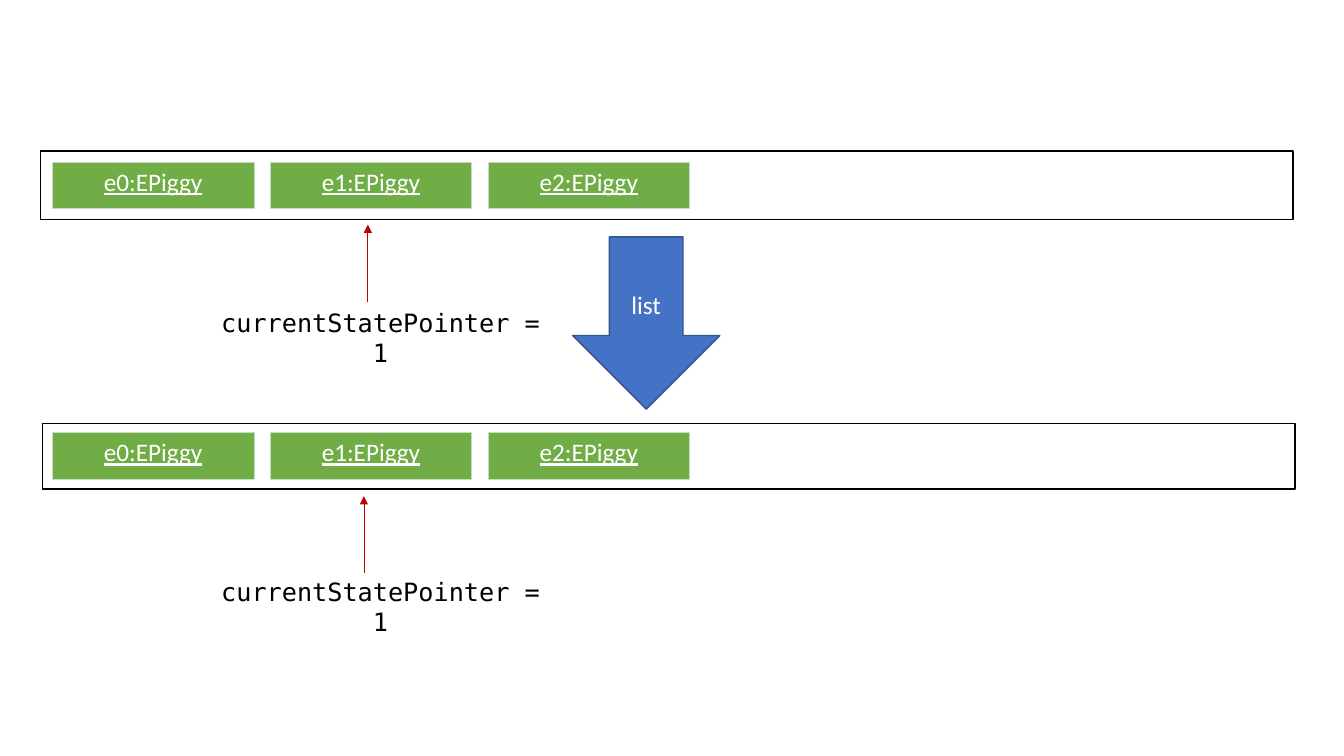
import pptx
import pptx.util
import pptx.dml.color
import pptx.enum.shapes
import pptx.enum.text
import pptx.oxml
import pptx.oxml.ns
from dataclasses import dataclass

Cm, Pt = pptx.util.Cm, pptx.util.Pt
Color = pptx.dml.color.RGBColor.from_string
Shape = pptx.enum.shapes.MSO_SHAPE
CENTER = pptx.enum.text.PP_ALIGN.CENTER
NAMESPACE = pptx.oxml.ns.nsdecls("a")


@dataclass
class Theme:
    """Colours, fonts and sizes of the slide."""
    state: str = "70AD47"
    state_border: str = "C9DBC1"
    step: str = "4472C4"
    step_line: str = "325491"
    pointer: str = "C00000"
    dark: str = "000000"
    light: str = "FFFFFF"
    body_font: str = "Calibri"
    code_font: str = "DejaVu Sans Mono"
    size: int = 18
    thin: float = 0.5
    line: float = 1


theme = Theme()


def write(frame, text, font, color, underline=None):
    """Put one centred paragraph into a text frame."""
    para = frame.paragraphs[0]
    para.text = text
    para.alignment = CENTER
    para.font.name = font
    para.font.size = Pt(theme.size)
    para.font.color.rgb = Color(color)
    para.font.underline = underline


def add_state(page, left, top, text):
    """Add a state as a one-cell table with thin borders."""
    table = page.shapes.add_table(1, 1, left, top, Cm(5.08), Cm(1.17)).table
    table.first_row = table.horz_banding = False
    cell = table.cell(0, 0)
    cell.fill.solid()
    cell.fill.fore_color.rgb = Color(theme.state)
    write(cell.text_frame, text, theme.body_font, theme.light, True)
    properties = cell._tc.get_or_add_tcPr()
    for position, side in enumerate("LRTB"):
        border = pptx.oxml.parse_xml(
            f'<a:ln{side} {NAMESPACE} w="{Pt(theme.thin)}"><a:solidFill>'
            f'<a:srgbClr val="{theme.state_border}"/></a:solidFill></a:ln{side}>')
        properties.insert(position, border)


deck = pptx.Presentation()
deck.slide_width, deck.slide_height = Cm(33.87), Cm(19.05)
page = deck.slides.add_slide(deck.slide_layouts[6])

# Command that leads from the upper history to the lower one
step = page.shapes.add_shape(Shape.DOWN_ARROW, Cm(14.43), Cm(5.97), Cm(3.71), Cm(4.34))
step.shadow.inherit = False
step.fill.solid()
step.fill.fore_color.rgb = Color(theme.step)
step.line.color.rgb = Color(theme.step_line)
step.line.width = Pt(theme.line)
step.text_frame.vertical_anchor = pptx.enum.text.MSO_ANCHOR.MIDDLE
write(step.text_frame, "list", theme.body_font, theme.light)

# Frame left, top, height; state top; pointer x, start, end; label top (cm)
histories = [
    (1.02, 3.81, 1.73, 4.09, 9.27, 7.62, 5.66, 7.62),
    (1.07, 10.67, 1.65, 10.9, 9.17, 14.45, 12.5, 14.4),
]
for left, top, height, state_top, pointer_x, start, end, label_top in histories:
    history = page.shapes.add_shape(Shape.RECTANGLE, Cm(left), Cm(top), Cm(31.57), Cm(height))
    history.shadow.inherit = False
    history.fill.background()
    history.line.color.rgb = Color(theme.dark)
    history.line.width = Pt(theme.line)

    for index in range(3):
        add_state(page, Cm(1.32 + 5.49 * index), Cm(state_top), f"e{index}:EPiggy")

    label = page.shapes.add_textbox(Cm(5.13), Cm(label_top), Cm(8.92), Cm(1.02))
    label.text_frame.word_wrap = True
    write(label.text_frame, "currentStatePointer = 1", theme.code_font, theme.dark)

    pointer = page.shapes.add_connector(
        pptx.enum.shapes.MSO_CONNECTOR.STRAIGHT,
        Cm(pointer_x), Cm(start), Cm(pointer_x), Cm(end))
    pointer.line.color.rgb = Color(theme.pointer)
    pointer.line.width = Pt(theme.thin)
    pointer.line._get_or_add_ln().append(
        pptx.oxml.parse_xml(f'<a:tailEnd {NAMESPACE} type="triangle"/>'))
    pointer._element.spPr.append(pptx.oxml.parse_xml(f"<a:effectLst {NAMESPACE}/>"))

deck.save("out.pptx")
